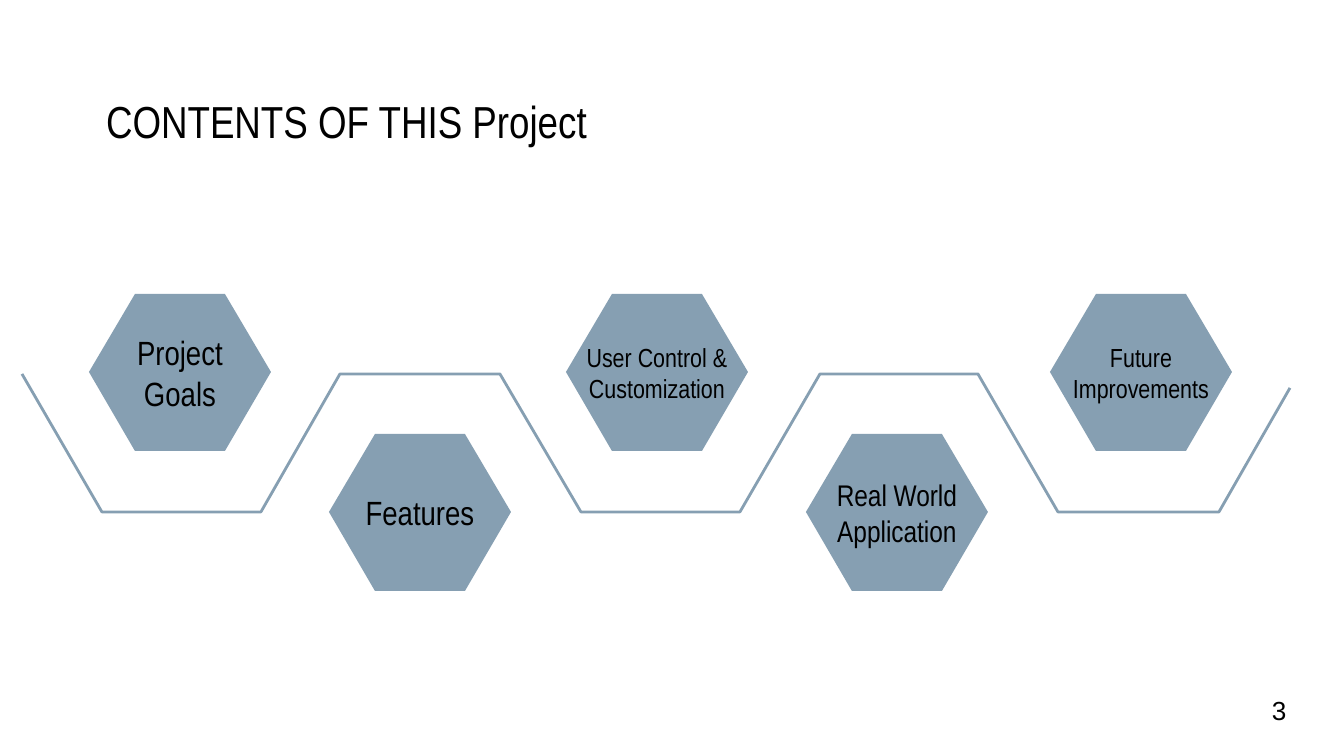
from pptx import Presentation
from pptx.dml.color import RGBColor
from pptx.enum.text import MSO_ANCHOR as Anchor, MSO_AUTO_SIZE as AutoSize, PP_ALIGN as Align
from pptx.util import Emu, Pt

BLACK = RGBColor(0x00, 0x00, 0x00)
STEEL = RGBColor(0x86, 0x9F, 0xB2)
NARROW = "Arial Narrow"

TITLE = "CONTENTS OF THIS Project"
PAGE = "3"
TOPICS = [
    ("Project Goals", 89, 18),
    ("Features", 329, 18),
    ("User Control & Customization", 566, 14),
    ("Real World Application", 806, 16),
    ("Future Improvements", 1050, 14),
]
HEX_W, HEX_H, HEX_INSET = 182, 157, 46
HEX_TOPS = (294, 434)
WAVE_HIGH, WAVE_LOW = 374, 512
WAVE_START, WAVE_END = (22, WAVE_HIGH), (1290, 388)
WAVE_FLATS = [(102, 261), (340, 500), (581, 740), (820, 978), (1058, 1219)]

SCALE = 914400 / 134.4


def px(n):
    return Emu(round(n * SCALE))


def put_text(sp, text, size, font=NARROW, align=Align.LEFT, anchor=Anchor.TOP, pad_x=13, pad_y=13):
    tf = sp.text_frame
    tf.word_wrap = True
    tf.auto_size = AutoSize.NONE
    tf.vertical_anchor = anchor
    tf.margin_left = tf.margin_right = px(pad_x)
    tf.margin_top = tf.margin_bottom = px(pad_y)
    p = tf.paragraphs[0]
    p.alignment = align
    r = p.add_run()
    r.text = text
    r.font.size = Pt(size)
    r.font.name = font
    r.font.color.rgb = BLACK


def add_path(s, points, close):
    builder = s.shapes.build_freeform(*points[0], scale=SCALE)
    builder.add_line_segments(points[1:], close=close)
    sp = builder.convert_to_shape()
    sp.shadow.inherit = False
    return sp


def add_hexagon(s, left, top):
    right, bottom, middle = left + HEX_W, top + HEX_H, top + HEX_H / 2
    inner_left, inner_right = left + HEX_INSET, right - HEX_INSET
    sp = add_path(s, [(inner_left, top), (left, middle), (inner_left, bottom),
                      (inner_right, bottom), (right, middle), (inner_right, top)], True)
    sp.fill.solid()
    sp.fill.fore_color.rgb = STEEL
    sp.line.fill.background()
    return sp


def add_wave(s):
    points = [WAVE_START]
    for i, flat in enumerate(WAVE_FLATS):
        y = WAVE_HIGH if i % 2 else WAVE_LOW
        points += [(x, y) for x in flat]
    sp = add_path(s, points + [WAVE_END], False)
    sp.fill.background()
    sp.line.color.rgb = STEEL
    sp.line.width = Pt(1.5)


prs = Presentation()
prs.slide_width, prs.slide_height = px(1344), px(756)
s = prs.slides.add_slide(prs.slide_layouts[5])

title = s.shapes.title
title.left, title.top, title.width, title.height = px(93), px(81), px(1251), px(85)
put_text(title, TITLE, 24)

for i, (topic, left, size) in enumerate(TOPICS):
    hexagon = add_hexagon(s, left, HEX_TOPS[i % 2])
    put_text(hexagon, topic, size, align=Align.CENTER, anchor=Anchor.MIDDLE)

add_wave(s)

number = s.shapes.add_textbox(px(1259), px(687), px(85), px(46))
put_text(number, PAGE, 14, font="Arial", pad_y=7)

prs.save("out.pptx")
